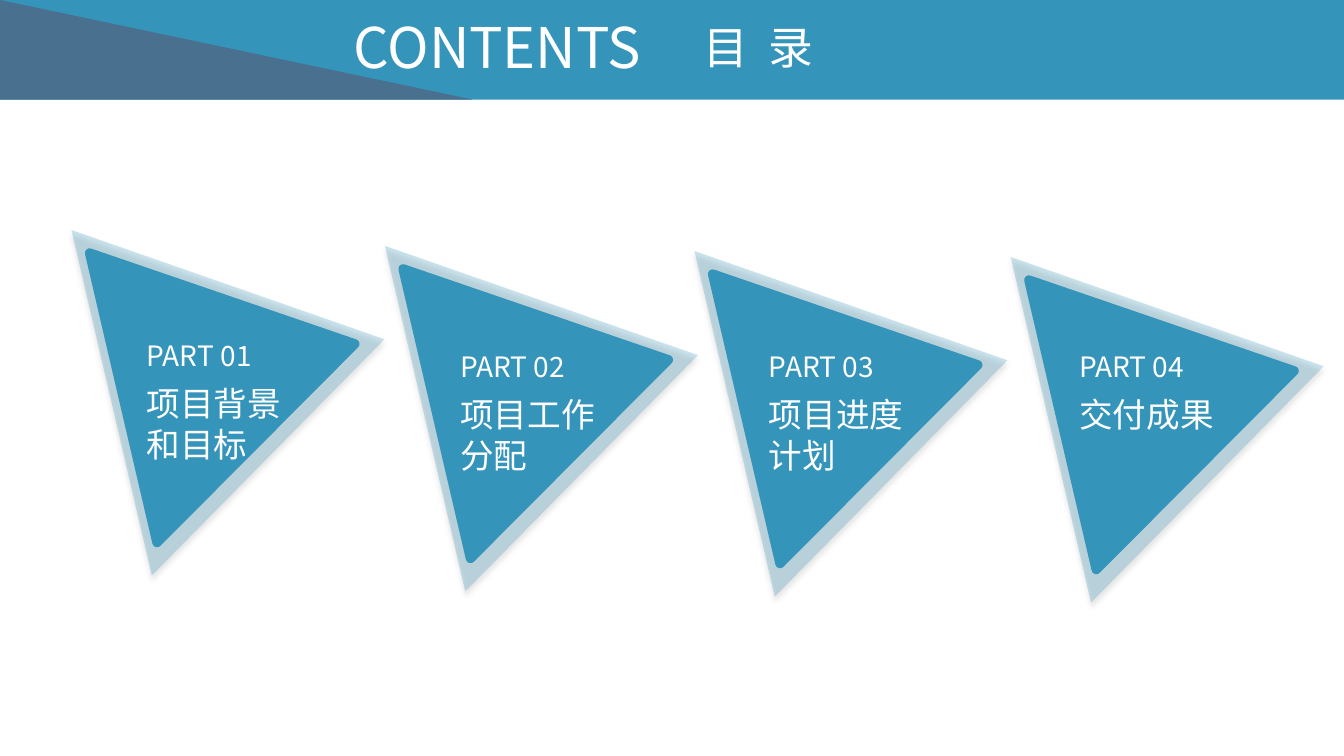
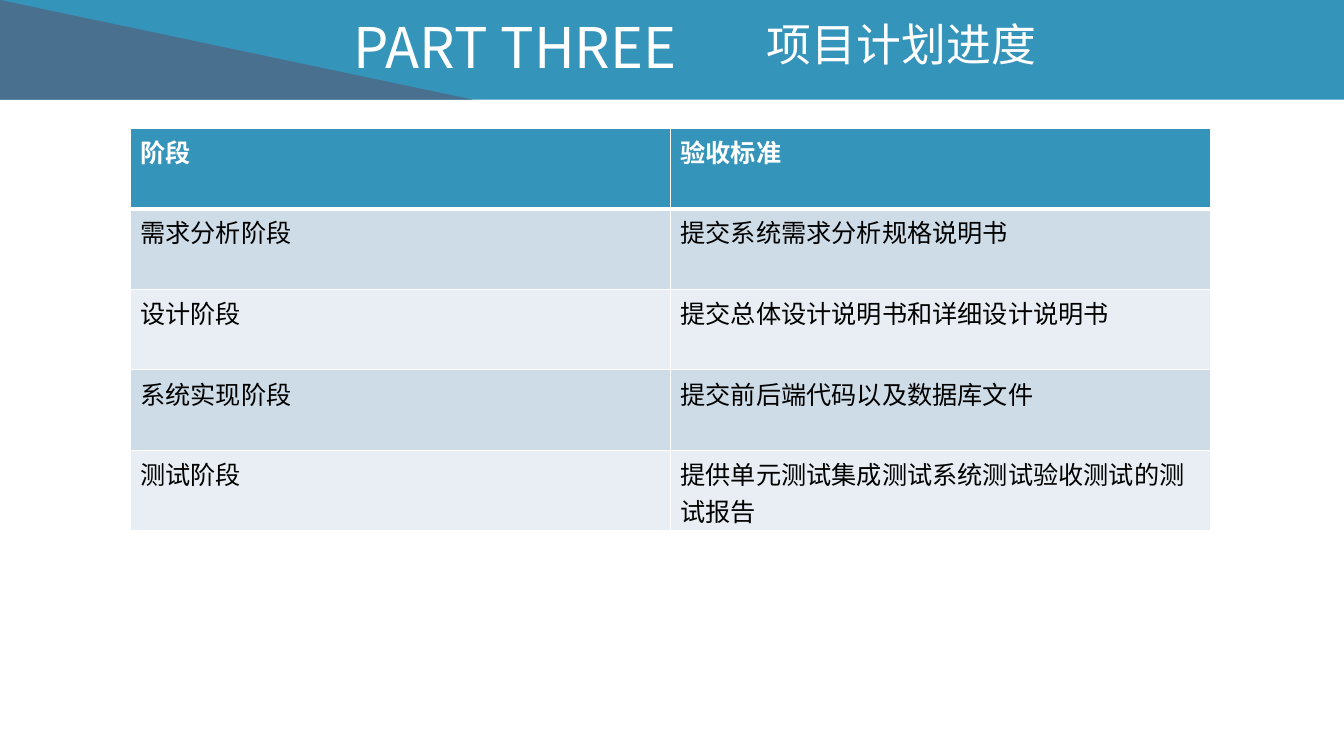
from dataclasses import dataclass

from lxml import etree
from pptx import Presentation
from pptx.dml.color import RGBColor
from pptx.enum.shapes import MSO_SHAPE
from pptx.enum.text import MSO_ANCHOR, MSO_AUTO_SIZE, PP_ALIGN
from pptx.oxml.ns import qn
from pptx.util import Cm, Pt

RECTANGLE = MSO_SHAPE.RECTANGLE
TRIANGLE = MSO_SHAPE.ISOSCELES_TRIANGLE
LEFT = PP_ALIGN.LEFT
TOP = MSO_ANCHOR.TOP
GROW = MSO_AUTO_SIZE.SHAPE_TO_FIT_TEXT
TITLE_ONLY = 5


@dataclass(frozen=True)
class Theme:
    font: str = "Noto Sans CJK JP"
    table_font: str = "Noto Sans CJK SC"
    blue: str = "3494BA"
    slate: str = "4A7090"
    white: str = "FFFFFF"
    black: str = "000000"
    row_tints: tuple = ("CEDCE7", "E8EEF3")
    title_size: int = 40
    subtitle_size: int = 32
    name_size: int = 24
    part_size: int = 20
    table_size: int = 18


THEME = Theme()
SLIDE_WIDTH, SLIDE_HEIGHT = 33.87, 19.05
BAND_HEIGHT = 2.51

# Part number, name, triangle corner, text corner
PARTS = [
    ("PART 01", "项目背景和目标", (1.78, 5.82), (3.45, 8.41)),
    ("PART 02", "项目工作分配", (9.68, 6.22), (11.35, 8.69)),
    ("PART 03", "项目进度计划", (17.48, 6.35), (19.13, 8.69)),
    ("PART 04", "交付成果", (25.45, 6.5), (26.95, 8.69)),
]

STAGES = [
    ("阶段", "验收标准"),
    ("需求分析阶段", "提交系统需求分析规格说明书"),
    ("设计阶段", "提交总体设计说明书和详细设计说明书"),
    ("系统实现阶段", "提交前后端代码以及数据库文件"),
    ("测试阶段", "提供单元测试集成测试系统测试验收测试的测试报告"),
]


def rgb(color):
    return RGBColor.from_string(color)


def add_xml(parent, tag, **attributes):
    return etree.SubElement(parent, qn(tag), attributes)


def write(frame, text, size, color=THEME.white, font=THEME.font, bold=False):
    """Add one left-aligned run to the frame's first paragraph."""
    paragraph = frame.paragraphs[0]
    paragraph.alignment = LEFT
    run = paragraph.add_run()
    run.text = text
    run.font.size = Pt(size)
    run.font.bold = bold
    run.font.name = font
    run.font.color.rgb = rgb(color)
    add_xml(run.font._element, "a:ea", typeface=font)
    return run


def fit_frame(frame):
    frame.word_wrap = True
    frame.auto_size = GROW
    frame.vertical_anchor = TOP


def add_label(slide, text, size, left, top, width, height):
    box = slide.shapes.add_textbox(Cm(left), Cm(top), Cm(width), Cm(height))
    fit_frame(box.text_frame)
    return write(box.text_frame, text, size)


def add_filled(shapes, preset, left, top, width, height, color):
    shape = shapes.add_shape(preset, Cm(left), Cm(top), Cm(width), Cm(height))
    shape.shadow.inherit = False
    shape.fill.solid()
    shape.fill.fore_color.rgb = rgb(color)
    shape.line.fill.background()
    return shape


def add_header(slide, title_text, subtitle, left, top, width, spacing=0):
    """Draw the band with its title and subtitle; spacing is in points."""
    add_filled(slide.shapes, RECTANGLE, 0, 0, SLIDE_WIDTH, BAND_HEIGHT, THEME.blue)
    wedge = add_filled(slide.shapes, TRIANGLE, 0, 0, 11.91, BAND_HEIGHT, THEME.slate)
    wedge.adjustments[0] = 0

    title = slide.shapes.title
    title.left, title.top, title.width, title.height = map(Cm, (8.66, 0.18, 10.44, 1.96))
    fit_frame(title.text_frame)
    write(title.text_frame, title_text, THEME.title_size)
    slide.shapes._spTree.append(title.element)  # bring in front of the band

    run = add_label(slide, subtitle, THEME.subtitle_size, left, top, width, 1.63)
    if spacing:
        run.font._element.set("spc", str(spacing * 100))


def soften(shape):
    """Make the fill translucent and give the shape a soft shadow below."""
    properties = shape.element.spPr
    fill_color = properties.find(qn("a:solidFill"))[0]
    add_xml(fill_color, "a:alpha", val="26000")
    shadow = add_xml(properties.find(qn("a:effectLst")), "a:outerShdw",
                     blurRad=str(Pt(4)), dist=str(Pt(3)), dir="5400000",
                     algn="t", rotWithShape="0")
    shadow_color = add_xml(shadow, "a:srgbClr", val=THEME.black)
    add_xml(shadow_color, "a:alpha", val="40000")


def add_part(slide, number, name, triangle_corner, text_corner):
    left, top = triangle_corner
    triangles = slide.shapes.add_group_shape().shapes
    rim = add_filled(triangles, TRIANGLE, left, top, 8.94, 7.06, THEME.blue)
    soften(rim)
    core = add_filled(triangles, TRIANGLE, left + 0.5, top + 0.53, 7.49, 5.99, THEME.blue)
    core.line.color.rgb = rgb(THEME.blue)
    core.line.width = Pt(6.75)
    add_xml(core.line._ln, "a:round")
    rim.rotation = core.rotation = 76.9

    left, top = text_corner
    add_label(slide, number, THEME.part_size, left, top, 4.24, 1.12)
    add_label(slide, name, THEME.name_size, left, top + 1.12, 4.24, 2.31)


def border_cell(cell, top, bottom):
    """Draw white borders; top and bottom widths are in points."""
    properties = cell._tc.get_or_add_tcPr()
    for side, width in (("L", 1), ("R", 1), ("T", top), ("B", bottom)):
        line = add_xml(properties, f"a:ln{side}", w=str(Pt(width)))
        add_xml(add_xml(line, "a:solidFill"), "a:srgbClr", val=THEME.white)


def add_stage_table(slide, rows):
    row_height, width = 2.03, 27.23
    table = slide.shapes.add_table(len(rows), len(rows[0]), Cm(3.28), Cm(3.23),
                                   Cm(width), Cm(row_height * len(rows))).table
    for row_index, texts in enumerate(rows):
        is_head = row_index == 0
        fill = THEME.blue if is_head else THEME.row_tints[(row_index - 1) % 2]
        color = THEME.white if is_head else THEME.black
        for column_index, text in enumerate(texts):
            cell = table.cell(row_index, column_index)
            border_cell(cell, top=3 if row_index == 1 else 1, bottom=3 if is_head else 1)
            cell.fill.solid()
            cell.fill.fore_color.rgb = rgb(fill)
            write(cell.text_frame, text, THEME.table_size, color, THEME.table_font, is_head)


def main():
    deck = Presentation()
    deck.slide_width, deck.slide_height = Cm(SLIDE_WIDTH), Cm(SLIDE_HEIGHT)
    layout = deck.slide_layouts[TITLE_ONLY]

    contents = deck.slides.add_slide(layout)
    for part in PARTS:
        add_part(contents, *part)
    add_header(contents, "CONTENTS", "目 录", 17.48, 0.36, 4.24, spacing=3.5)

    schedule = deck.slides.add_slide(layout)
    add_header(schedule, "PART THREE", "项目计划进度", 19.08, 0.3, 7.59)
    add_stage_table(schedule, STAGES)

    deck.save("out.pptx")


if __name__ == "__main__":
    main()
